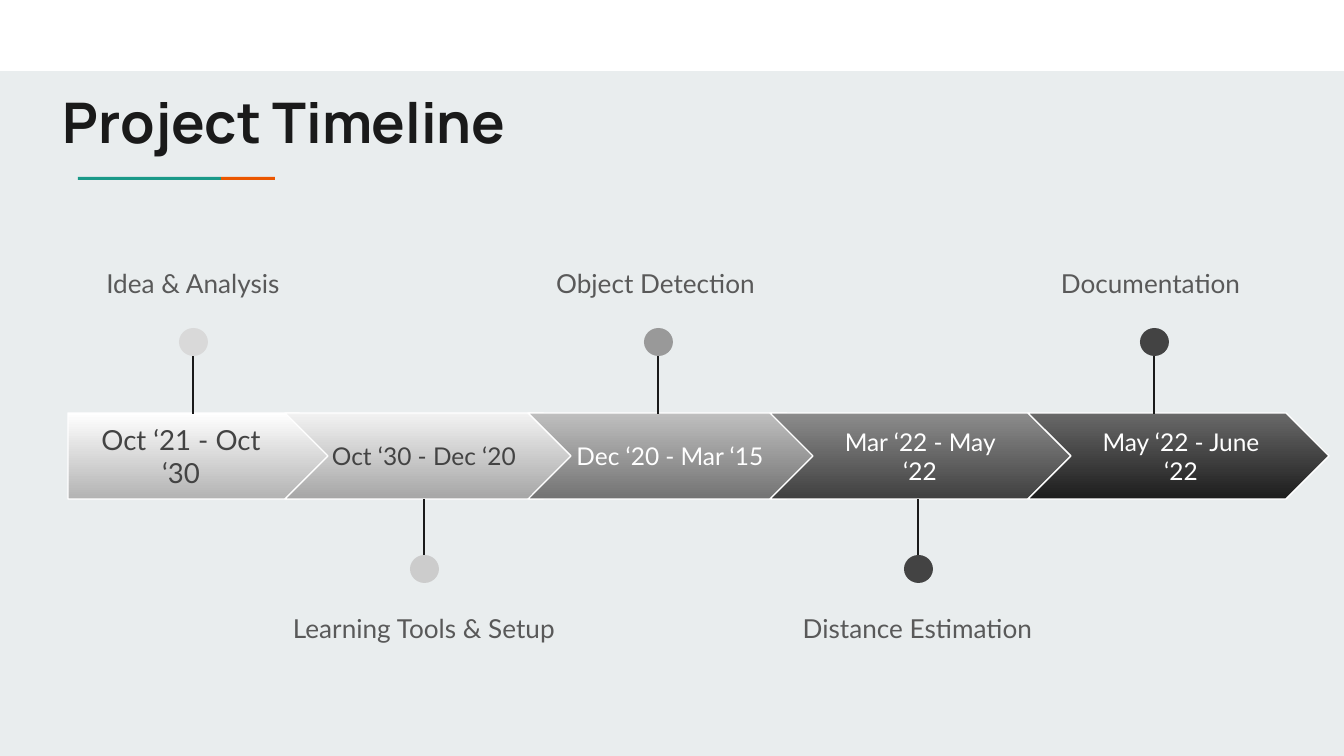
from dataclasses import dataclass

from lxml import etree
from pptx import Presentation
from pptx import util as u
from pptx.dml.color import RGBColor
from pptx.enum import shapes, text
from pptx.oxml import ns

SCALE = 9144000 / 1344  # EMU per px on a 1344 x 756 px slide
INSET = 13
BAR_TOP, BAR_H = 413, 86
DOT_W, DOT_H = 29, 28
LABEL_H = 59

COLORS = {
    "background": "E9EDEE",
    "white": "FFFFFF",
    "ink": "1A1A1A",
    "teal": "1A9988",
    "orange": "EB5600",
    "dark": "434343",
    "label": "595959",
}


@dataclass(frozen=True)
class Box:
    x: int
    y: int
    w: int
    h: int


@dataclass(frozen=True)
class Font:
    name: str
    size: float
    color: str
    bold: bool = False


@dataclass(frozen=True)
class Stage:
    label: str
    label_x: int
    label_w: int
    dates: str
    dates_x: int
    dates_w: int
    dates_size: float
    dates_color: str
    bar_x: int
    bar_w: int
    top_color: str
    bottom_color: str
    pin_x: int
    dot_color: str
    above: bool


STAGES = [
    Stage("Idea & Analysis", 1, 384, "Oct ‘21 - Oct ‘30", 74, 214, 14.8, COLORS["dark"],
          68, 274, "FFFFFF", "B3B3B3", 193, "D9D9D9", True),
    Stage("Learning Tools & Setup", 232, 384, "Oct ‘30 - Dec ‘20", 317, 214, 13.1, COLORS["dark"],
          285, 301, "F2F2F2", "A6A6A6", 424, "CCCCCC", False),
    Stage("Object Detection", 446, 419, "Dec ‘20 - Mar ‘15", 563, 214, 13.1, COLORS["white"],
          528, 301, "BFBFBF", "737373", 658, "999999", True),
    Stage("Distance Estimation", 708, 419, "Mar ‘22 - May ‘22", 813, 214, 13.1, COLORS["white"],
          770, 301, "8C8C8C", "404040", 918, "434343", False),
    Stage("Documentation", 941, 419, "May ‘22 - June ‘22", 1070, 222, 13.1, COLORS["white"],
          1028, 301, "696969", "1D1D1D", 1154, "434343", True),
]


def px(n: int) -> u.Emu:
    return u.Emu(round(n * SCALE))


def rgb(color: str) -> RGBColor:
    return RGBColor.from_string(color)


def add_shape(s, kind, box: Box, color: str = ""):
    sp = s.shapes.add_shape(kind, px(box.x), px(box.y), px(box.w), px(box.h))
    sp.shadow.inherit = False
    sp.line.fill.background()
    if color:
        sp.fill.solid()
        sp.fill.fore_color.rgb = rgb(color)
    return sp


def add_text(s, box: Box, content: str, font: Font, centered: bool = True) -> None:
    sp = s.shapes.add_textbox(px(box.x), px(box.y), px(box.w), px(box.h))
    tf = sp.text_frame
    tf.word_wrap = True
    tf.margin_left = tf.margin_right = tf.margin_top = tf.margin_bottom = px(INSET)
    tf.vertical_anchor = text.MSO_ANCHOR.MIDDLE if centered else text.MSO_ANCHOR.TOP
    tf.text = content
    p = tf.paragraphs[0]
    p.alignment = text.PP_ALIGN.CENTER if centered else text.PP_ALIGN.LEFT
    r = p.runs[0]
    r.font.name = font.name
    r.font.size = u.Pt(font.size)
    r.font.bold = font.bold
    r.font.color.rgb = rgb(font.color)


def add_bar(s, stage: Stage, first: bool) -> None:
    kind = shapes.MSO_SHAPE.PENTAGON if first else shapes.MSO_SHAPE.CHEVRON
    sp = add_shape(s, kind, Box(stage.bar_x, BAR_TOP, stage.bar_w, BAR_H))
    sp.adjustments[0] = 0.5
    sp.fill.gradient()
    sp.fill.gradient_angle = 270
    for stop, color in zip(sp.fill.gradient_stops, (stage.top_color, stage.bottom_color)):
        stop.color.rgb = rgb(color)
    sp.line.color.rgb = rgb(COLORS["white"])
    sp.line.width = u.Pt(0.75)


def add_pin(s, stage: Stage) -> None:
    start, end, dot_y = (333, 414, 328) if stage.above else (578, 499, 555)
    x = px(stage.pin_x)
    line = s.shapes.add_connector(shapes.MSO_CONNECTOR.STRAIGHT, x, px(start), x, px(end))
    line.line.color.rgb = rgb(COLORS["ink"])
    line.line.width = u.Pt(0.75)
    etree.SubElement(line._element.spPr, ns.qn("a:effectLst"))
    dot = Box(stage.pin_x - DOT_W // 2, dot_y, DOT_W, DOT_H)
    add_shape(s, shapes.MSO_SHAPE.OVAL, dot, stage.dot_color)


def add_stage(s, stage: Stage, first: bool) -> None:
    add_bar(s, stage, first)
    add_text(s, Box(stage.dates_x, 429, stage.dates_w, 54), stage.dates,
             Font("Lato", stage.dates_size, stage.dates_color))
    add_pin(s, stage)
    label_y = 254 if stage.above else 599
    add_text(s, Box(stage.label_x, label_y, stage.label_w, LABEL_H), stage.label,
             Font("Lato", 14, COLORS["label"]))


def main() -> None:
    prs = Presentation()
    prs.slide_width, prs.slide_height = px(1344), px(756)
    s = prs.slides.add_slide(prs.slide_layouts[6])
    s.background.fill.solid()
    s.background.fill.fore_color.rgb = rgb(COLORS["background"])

    # Top band and two-colour rule
    add_shape(s, shapes.MSO_SHAPE.RECTANGLE, Box(0, 0, 1344, 71), COLORS["white"])
    add_shape(s, shapes.MSO_SHAPE.RECTANGLE, Box(221, 177, 54, 3), COLORS["orange"])
    add_shape(s, shapes.MSO_SHAPE.RECTANGLE, Box(78, 177, 143, 3), COLORS["teal"])

    # Title
    add_text(s, Box(50, 74, 1130, 95), "Project Timeline",
             Font("Manrope", 30, COLORS["ink"], bold=True), centered=False)

    # Timeline
    for i, stage in enumerate(STAGES):
        add_stage(s, stage, first=i == 0)

    prs.save("out.pptx")


if __name__ == "__main__":
    main()
